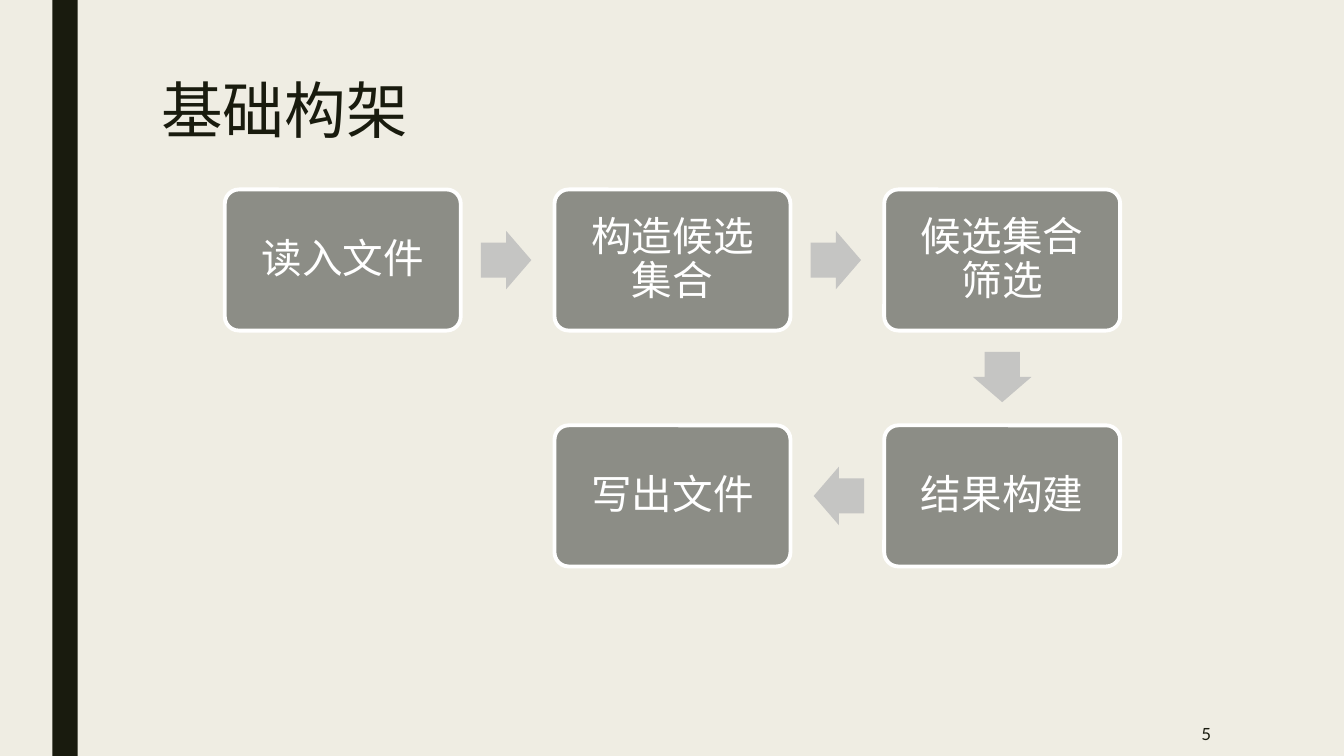
"""Build the slide showing the basic architecture as a five-step flow."""
from pptx import Presentation
from pptx.dml.color import RGBColor
from pptx.enum.shapes import MSO_SHAPE
from pptx.enum.text import MSO_ANCHOR, PP_ALIGN
from pptx.util import Pt

PX = 9144
FONT = "Lato"
CREAM = RGBColor(0xEF, 0xED, 0xE3)
INK = RGBColor(0x19, 0x1B, 0x0E)
GREY = RGBColor(0x8C, 0x8D, 0x86)
SILVER = RGBColor(0xC5, 0xC5, 0xC3)
WHITE = RGBColor(0xFF, 0xFF, 0xFF)
RECTANGLE = MSO_SHAPE.RECTANGLE
ROUNDED = MSO_SHAPE.ROUNDED_RECTANGLE
ARROW = MSO_SHAPE.RIGHT_ARROW
TOP, MIDDLE = MSO_ANCHOR.TOP, MSO_ANCHOR.MIDDLE
LEFT, CENTER, RIGHT = PP_ALIGN.LEFT, PP_ALIGN.CENTER, PP_ALIGN.RIGHT

STEP_WIDTH, STEP_HEIGHT = 234, 140
COLUMN_LEFT, COLUMN_PITCH = 223, 327
ROW_TOP, ROW_PITCH = 188, 234
STEPS = [
    ("读入文件", 0, 0),
    ("构造候选集合", 1, 0),
    ("候选集合筛选", 2, 0),
    ("结果构建", 2, 1),
    ("写出文件", 1, 1),
]
ARROWS = [(477, 229, 0), (804, 229, 0), (969, 345, 90), (807, 463, 180)]


def add_filled(kind, left, top, width, height, color):
    shape = page.shapes.add_shape(kind, left * PX, top * PX, width * PX, height * PX)
    shape.shadow.inherit = False
    shape.fill.solid()
    shape.fill.fore_color.rgb = color
    shape.line.fill.background()
    return shape


def write(box, text, size, color, align, anchor, spacing=1.0):
    frame = box.text_frame
    frame.text = text
    frame.word_wrap = True
    frame.vertical_anchor = anchor
    para = frame.paragraphs[0]
    para.alignment = align
    para.line_spacing = spacing
    span = para.runs[0]
    span.font.name = FONT
    span.font.size = Pt(size)
    span.font.color.rgb = color


deck = Presentation()
deck.slide_width, deck.slide_height = 1333 * PX, 750 * PX
page = deck.slides.add_slide(deck.slide_layouts[5])
page.background.fill.solid()
page.background.fill.fore_color.rgb = CREAM

add_filled(RECTANGLE, 52, 0, 25, 750, INK)

title = page.shapes.title
title.left, title.top = 150 * PX, 75 * PX
title.width, title.height = 1050 * PX, 162 * PX
write(title, "基础构架", 44, INK, LEFT, TOP, 0.89)

number = page.shapes.add_textbox(1036 * PX, 706 * PX, 175 * PX, 44 * PX)
write(number, "5", 12, INK, RIGHT, MIDDLE)

for label, column, row in STEPS:
    step = add_filled(ROUNDED, COLUMN_LEFT + column * COLUMN_PITCH,
                      ROW_TOP + row * ROW_PITCH, STEP_WIDTH, STEP_HEIGHT, GREY)
    step.adjustments[0] = 0.1
    step.line.color.rgb = WHITE
    step.line.width = Pt(2.75)
    write(step, label, 29, WHITE, CENTER, MIDDLE, 0.9)
    step.text_frame.margin_left = step.text_frame.margin_right = 14 * PX

for left, top, rotation in ARROWS:
    arrow = add_filled(ARROW, left, top, 50, 58, SILVER)
    arrow.adjustments[0] = 0.6
    arrow.adjustments[1] = 0.5
    arrow.rotation = rotation

deck.save("out.pptx")
